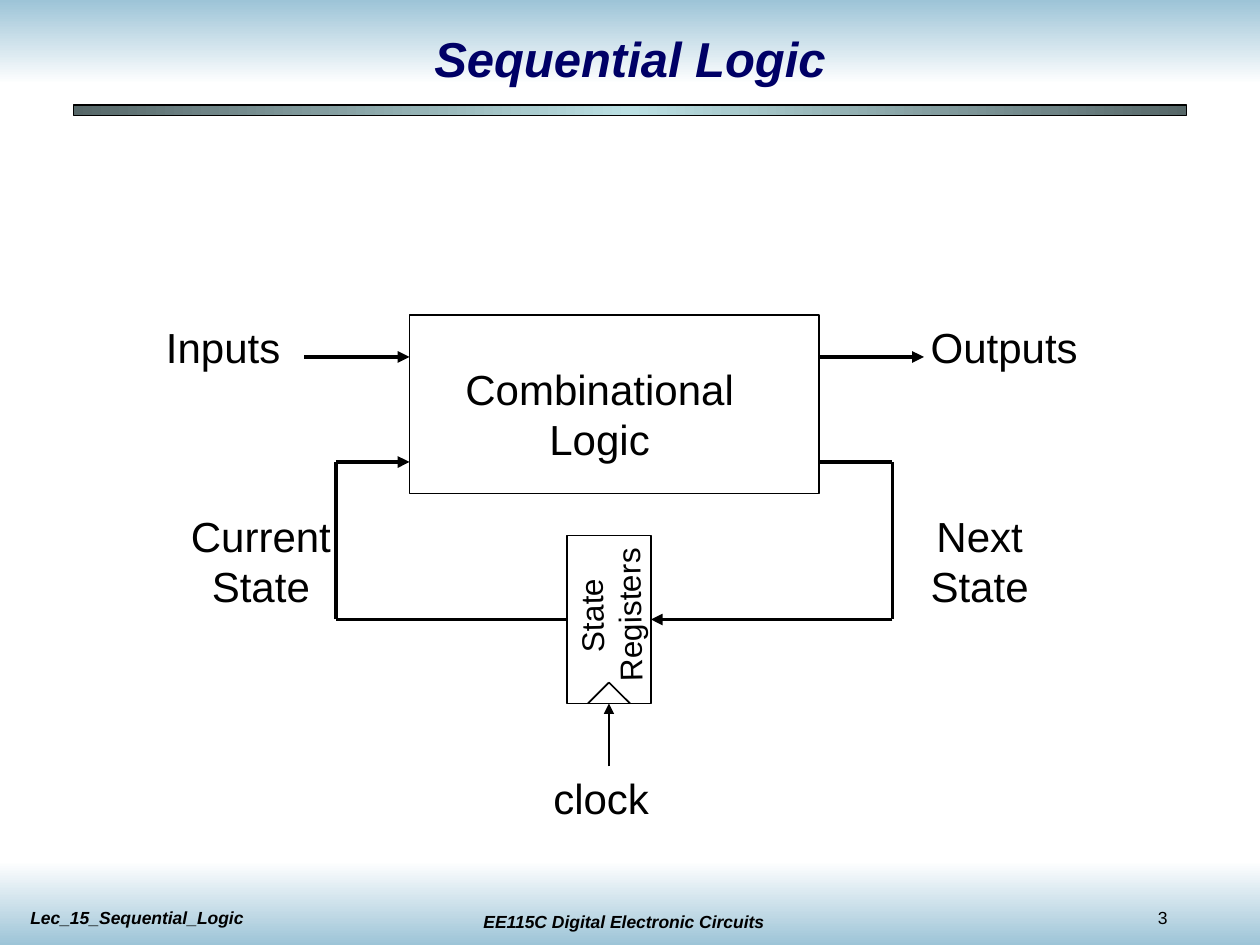
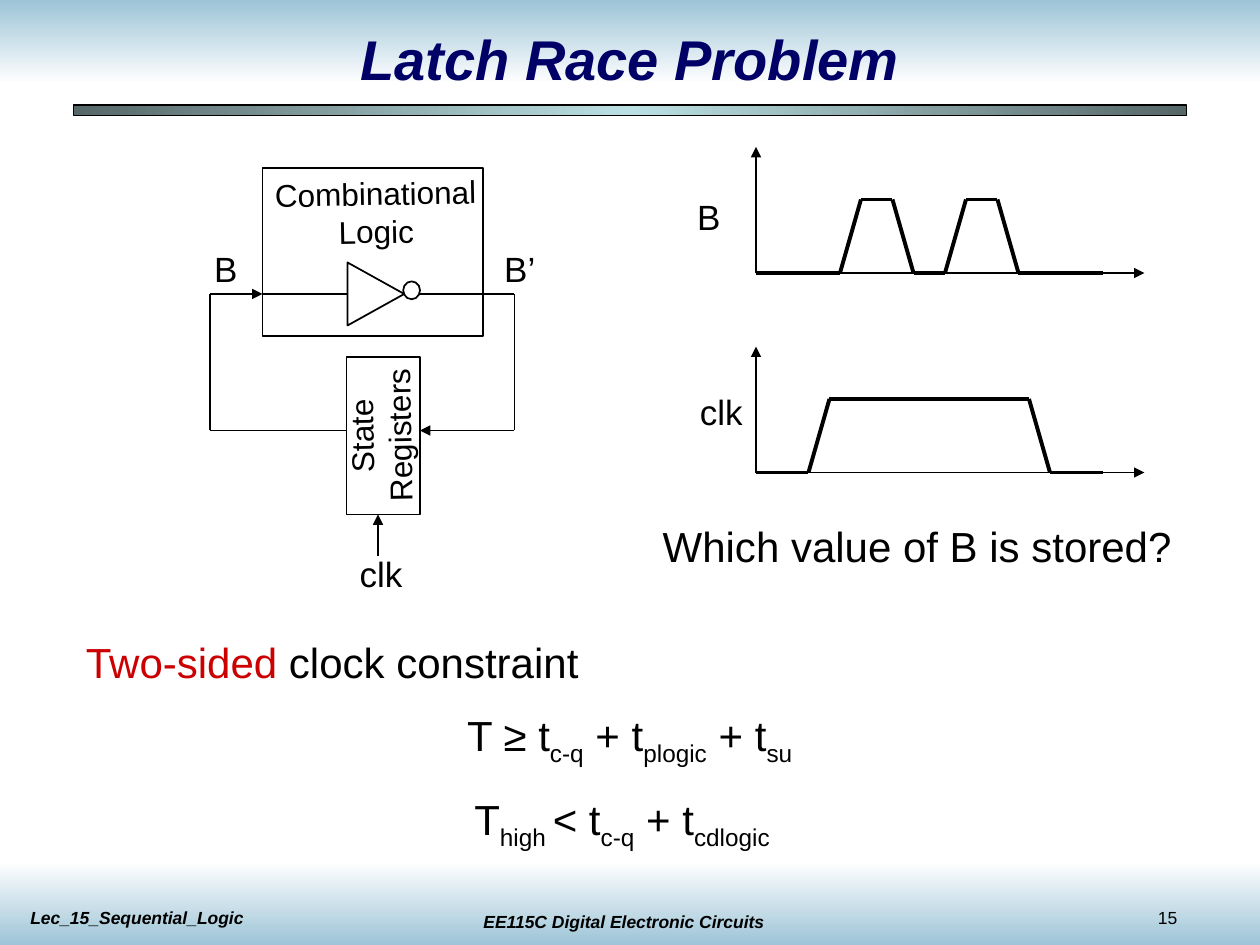
"""Builds two lecture slides on sequential logic and the latch race."""
from itertools import pairwise

from lxml.etree import SubElement
from pptx import Presentation
from pptx.dml.color import RGBColor
from pptx.enum.shapes import MSO_CONNECTOR, MSO_SHAPE
from pptx.enum.text import MSO_ANCHOR, MSO_AUTO_SIZE, PP_ALIGN
from pptx.oxml import parse_xml
from pptx.oxml.ns import nsdecls, qn
from pptx.util import Pt

SCALE = 7620
WIDE, HIGH = 1200, 900
BAND = 80
FONT = "Arial"
THIN, THICK = 1, 2.25
HEX = {"ink": "000000", "navy": "000066", "red": "CC0000", "sky": "9DC4D7",
       "white": "FFFFFF", "slate": "566768", "ice": "BBE0E3"}


def emu(*sizes):
    return [size * SCALE for size in sizes]


def tint(name):
    return RGBColor.from_string(HEX[name])


def write(frame, text, size=24, color="ink", bold=False, align=PP_ALIGN.CENTER,
          wrap=False, accent=None, sub=False):
    frame.word_wrap = wrap
    frame.auto_size = MSO_AUTO_SIZE.NONE
    for row, line in enumerate(text.split("\n")):
        para = frame.add_paragraph() if row else frame.paragraphs[0]
        para.alignment = align
        for spot, part in enumerate(line.split("~")):
            if not part:
                continue
            run = para.add_run()
            run.text = part
            font = run.font
            font.name, font.size = FONT, Pt(size)
            font.bold = font.italic = bold
            marked = spot % 2
            font.color.rgb = tint(accent if marked and accent else color)
            if marked and sub:
                run._r.get_or_add_rPr().set("baseline", "-25000")


class Deck:
    def __init__(self):
        self.show = Presentation()
        self.show.slide_width, self.show.slide_height = emu(WIDE, HIGH)
        self.layout = self.show.slide_layouts[5]
        self.slide = None

    def start(self, title, number, size):
        first = self.slide is None
        self.slide = self.show.slides.add_slide(self.layout)
        if first:
            self.frame()
        head = self.slide.shapes.title
        head.left, head.top, head.width, head.height = emu(90, 20, 1020, 70)
        head.text_frame.vertical_anchor = MSO_ANCHOR.MIDDLE
        write(head.text_frame, title, size=size, color="navy", bold=True, wrap=True)
        self.text(number, 1091, 858, 100, 32, size=10, align=PP_ALIGN.LEFT, wrap=True)

    def frame(self):
        note = {"size": 10, "bold": True, "wrap": True}
        parts = [
            self.blend(0, 0, WIDE, BAND, 90, "sky", "white"),
            self.blend(0, HIGH - BAND, WIDE, BAND, 90, "white", "sky"),
            self.text("EE115C Digital Electronic Circuits", 424, 862, 340, 32, **note),
            self.text("Lec_15_Sequential_Logic", 17, 858, 340, 32,
                      align=PP_ALIGN.LEFT, **note),
            self.blend(70, 100, 1060, 10, 0, "slate", "ice", "slate", edge=0.75)]
        for part in parts:
            self.layout.shapes._spTree.append(part._element)

    def text(self, words, x, y, w, h, turn=0, **style):
        box = self.slide.shapes.add_textbox(*emu(x, y, w, h))
        box.rotation = turn
        write(box.text_frame, words, **style)
        return box

    def shape(self, x, y, w, h, kind=MSO_SHAPE.RECTANGLE, edge=THIN, turn=0):
        form = self.slide.shapes.add_shape(kind, *emu(x, y, w, h))
        form.shadow.inherit = False
        form.rotation = turn
        form.fill.background()
        if edge:
            form.line.color.rgb = tint("ink")
            form.line.width = Pt(edge)
        else:
            form.line.fill.background()
        return form

    def blend(self, x, y, w, h, angle, *names, edge=0):
        form = self.shape(x, y, w, h, edge=edge)
        step = 100000 // (len(names) - 1)
        stops = "".join(
            f'<a:gs pos="{step * spot}"><a:srgbClr val="{HEX[name]}"/></a:gs>'
            for spot, name in enumerate(names))
        grad = parse_xml(f'<a:gradFill {nsdecls("a")}><a:gsLst>{stops}</a:gsLst>'
                         f'<a:lin ang="{angle * 60000}" scaled="0"/></a:gradFill>')
        props = form._element.spPr
        props.replace(props.find(qn("a:noFill")), grad)
        return form

    def wire(self, *points, width=THIN, arrow=False):
        for start, end in pairwise(points):
            line = self.slide.shapes.add_connector(
                MSO_CONNECTOR.STRAIGHT, *emu(*start, *end))
            line.line.color.rgb = tint("ink")
            line.line.width = Pt(width)
            if arrow and end == points[-1]:
                SubElement(line.line._get_or_add_ln(), qn("a:tailEnd"), type="triangle")
            SubElement(line._element.spPr, qn("a:effectLst"))

    def store(self, x, y, w, h, left, top):
        self.shape(x, y, w, h)
        self.text("State\nRegisters", left, top, 150, 84, turn=268.9, size=18)

    def plot(self, base, *wave):
        zero = (720, base)
        self.wire(zero, (720, base - 120), arrow=True)
        self.wire(zero, (1090, base), arrow=True)
        self.wire(*((x, base - rise) for x, rise in wave), width=THICK)


def logic(deck):
    deck.start("Sequential Logic", "3", 28)
    deck.shape(390, 300, 390, 170)
    deck.store(540, 510, 80, 160, 506, 544)
    for words, *place in (
            ("Combinational\nLogic", 431, 340, 280, 108),
            ("Inputs", 146, 300, 133, 60),
            ("Outputs", 875, 300, 163, 60),
            ("Current\nState", 170, 480, 157, 108),
            ("Next\nState", 874, 480, 118, 108),
            ("clock", 515, 730, 115, 60)):
        deck.text(words, *place)
    for points in (
            [(290, 340), (390, 340)],
            [(780, 340), (880, 340)],
            [(780, 440), (850, 440), (850, 590), (620, 590)],
            [(540, 590), (320, 590), (320, 440), (390, 440)]):
        deck.wire(*points, width=THICK, arrow=True)
    deck.wire((580, 730), (580, 670), arrow=True)
    deck.wire((560, 670), (580, 650), (600, 670))


def race(deck):
    deck.start("Latch Race Problem", "15", 32)
    deck.shape(250, 160, 210, 160)
    deck.text("Combinational\nLogic", 250, 160, 216, 84, turn=358.9, size=18)
    deck.store(330, 340, 70, 150, 287, 373)
    deck.shape(328, 253, 60, 54, MSO_SHAPE.ISOSCELES_TRIANGLE, turn=90)
    deck.shape(384, 268, 16, 17, MSO_SHAPE.OVAL)
    deck.wire((250, 280), (330, 280))
    for points in (
            [(400, 280), (490, 280), (490, 410), (400, 410)],
            [(330, 410), (200, 410), (200, 280), (250, 280)],
            [(360, 530), (360, 490)]):
        deck.wire(*points, arrow=True)
    deck.plot(260, (720, 0), (800, 0), (820, 70), (850, 70), (870, 0),
              (900, 0), (920, 70), (950, 70), (970, 0), (1050, 0))
    deck.plot(450, (720, 0), (770, 0), (790, 70), (980, 70), (1000, 0), (1050, 0))
    for words, x, y in (("B", 180, 230), ("B’", 460, 230), ("B", 640, 180),
                        ("clk", 328, 520), ("clk", 652, 366)):
        deck.text(words, x, y, 70, 53, size=20)
    deck.text("Which value of B is stored?", 619, 490, 509, 60)
    deck.text("~Two-sided ~clock constraint", 70, 600, 1080, 60,
              accent="red", align=PP_ALIGN.LEFT, wrap=True)
    deck.text("T ≥ t~c-q~ + t~plogic~ + t~su~", 433, 670, 344, 67,
              sub=True, align=PP_ALIGN.LEFT)
    deck.text("T~high ~< t~c-q~ + t~cdlogic~", 440, 750, 310, 67,
              sub=True, align=PP_ALIGN.LEFT)


def main():
    deck = Deck()
    logic(deck)
    race(deck)
    deck.show.save("out.pptx")


if __name__ == "__main__":
    main()
